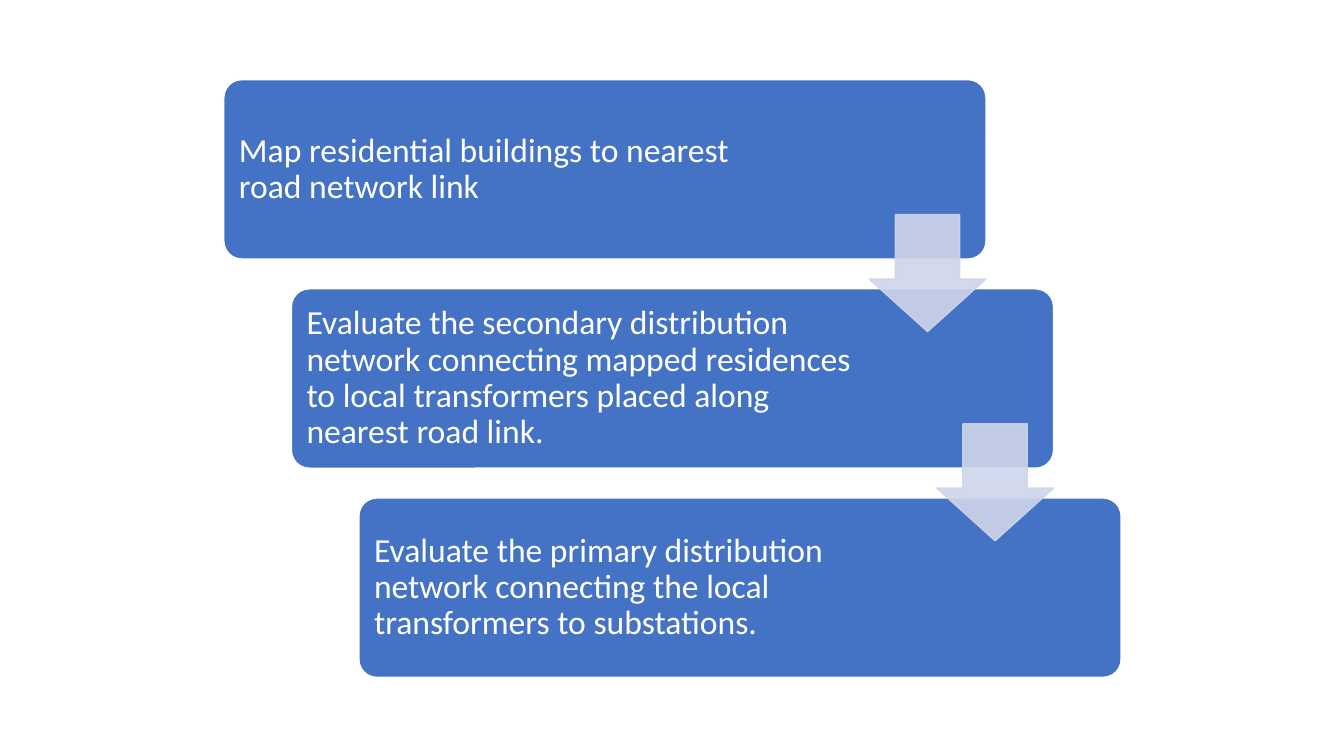
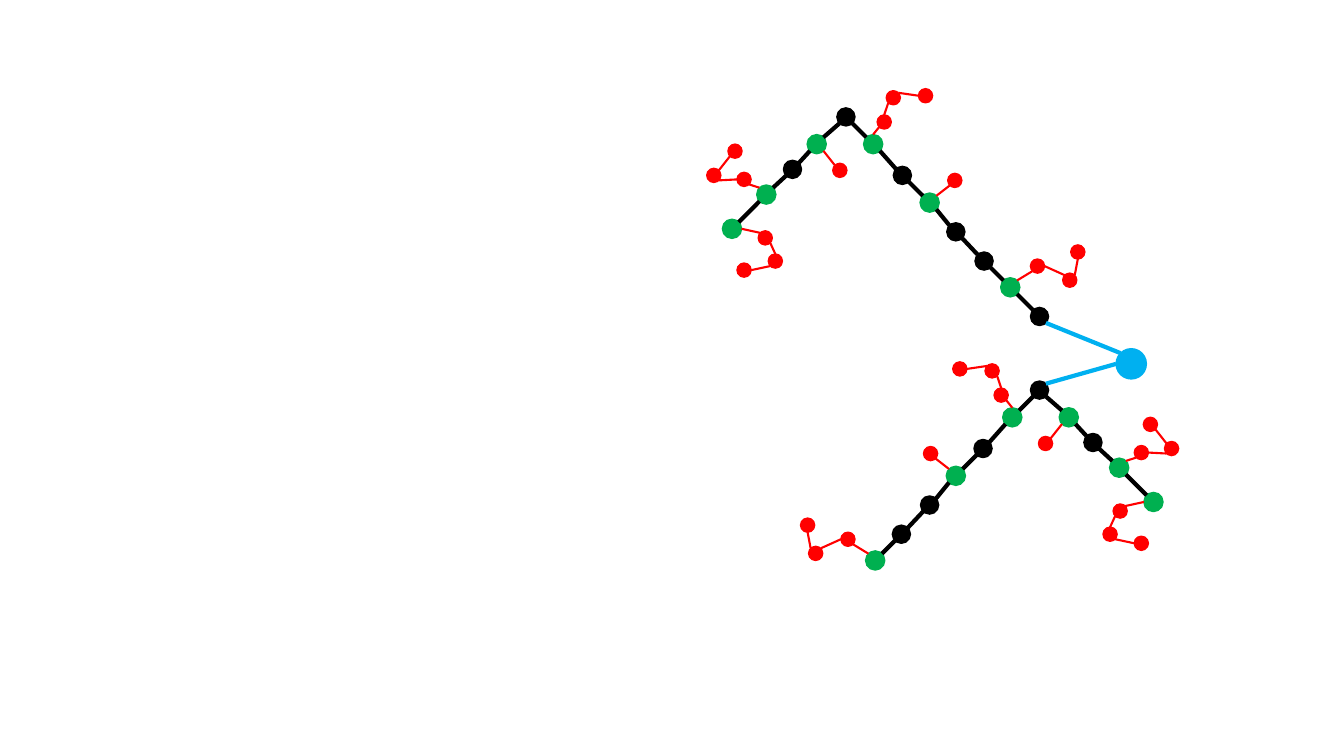
import dataclasses
import math

import lxml.etree
import pptx
import pptx.dml.color
import pptx.enum.shapes
import pptx.enum.text
import pptx.oxml.ns
import pptx.util

Inches = pptx.util.Inches
Pt = pptx.util.Pt
qn = pptx.oxml.ns.qn
Preset = pptx.enum.shapes.MSO_SHAPE


@dataclasses.dataclass(frozen=True)
class Theme:
    font: str = "Calibri"
    size: int = 24
    text: str = "FFFFFF"
    card: str = "4472C4"
    arrow: str = "CFD5EA"
    road: str = "000000"
    hub: str = "00B050"
    home: str = "FF0000"
    source: str = "00B0F0"
    edge: float = 1
    thin: float = 1.5
    thick: float = 3


THEME = Theme()

STEPS = (
    "Map residential buildings to nearest road network link",
    "Evaluate the secondary distribution network connecting mapped residences "
    "to local transformers placed along nearest road link.",
    "Evaluate the primary distribution network connecting the local "
    "transformers to substations.",
)

# Dot styles: colour, diameter
DOTS = {
    "road": (THEME.road, 0.18),
    "hub": (THEME.hub, 0.19),
    "home": (THEME.home, 0.14),
    "source": (THEME.source, 0.3),
}

# Dot centres along the road, in inches from the corner of the feeder
TRUNK = (
    ("hub", 0.26, 1.42), ("hub", 0.6, 1.08), ("road", 0.86, 0.83),
    ("hub", 1.1, 0.58), ("road", 1.39, 0.31), ("hub", 1.66, 0.58),
    ("road", 1.95, 0.89), ("hub", 2.22, 1.16), ("road", 2.48, 1.45),
    ("road", 2.76, 1.74), ("hub", 3.02, 2.0), ("road", 3.31, 2.29),
)
PEAK = 4
SPAN = 3.77

# Trunk index: homes in order, each with its centre and the sides its link joins
TWIGS = {
    0: ((0.59, 1.51, "E", "NW"), (0.69, 1.74, "SE", "N"), (0.38, 1.83, "SW", "E")),
    1: ((0.38, 0.93, "NW", "SE"), (0.08, 0.89, "W", "SE"), (0.29, 0.65, "NE", "SW")),
    3: ((1.33, 0.84, "SE", "NW"),),
    5: ((1.77, 0.36, "N", "SW"), (1.86, 0.12, "N", "SW"), (2.18, 0.1, "NE", "W")),
    7: ((2.47, 0.94, "NE", "SW"),),
    10: ((3.29, 1.79, "NE", "SW"), (3.61, 1.93, "E", "NW"), (3.69, 1.65, "NE", "S")),
}


def apply(target, style):
    for name, value in style.items():
        setattr(target, name, value)


def rgb(code):
    return pptx.dml.color.RGBColor.from_string(code)


def paint(line, color, width):
    line.color.rgb = rgb(color)
    line.width = Pt(width)


def block(slide, preset, box, fill, edge):
    shape = slide.shapes.add_shape(preset, *map(Inches, box))
    shape.shadow.inherit = False
    shape.fill.solid()
    shape.fill.fore_color.rgb = rgb(fill)
    paint(shape.line, edge, THEME.edge)
    return shape


def card(slide, box, text):
    shape = block(slide, Preset.ROUNDED_RECTANGLE, box, THEME.card, THEME.text)
    shape.adjustments[0] = 0.1
    frame = shape.text_frame
    apply(frame, {
        "word_wrap": True,
        "vertical_anchor": pptx.enum.text.MSO_ANCHOR.MIDDLE,
        "margin_left": Inches(0.1),
        "margin_right": Inches(1.92),
        "margin_top": Inches(0.1),
        "margin_bottom": Inches(0.1),
    })
    para = frame.paragraphs[0]
    apply(para, {"alignment": pptx.enum.text.PP_ALIGN.LEFT, "line_spacing": 0.9})
    run = para.add_run()
    run.text = text
    apply(run.font, {"name": THEME.font, "size": Pt(THEME.size)})
    run.font.color.rgb = rgb(THEME.text)


def arrow(slide, box):
    shape = block(slide, Preset.DOWN_ARROW, box, THEME.arrow, THEME.arrow)
    shape.adjustments[0], shape.adjustments[1] = 0.55, 0.45
    for color in shape._element.spPr.iter(qn("a:srgbClr")):
        lxml.etree.SubElement(color, qn("a:alpha")).set("val", "90000")


def cascade(slide, box, steps):
    """Cards stepping down to the right, with an arrow from each to the next."""
    left, top, width, height = box
    wide, high, side, drop = 7.56, 1.78, 1.16, 1.34
    gaps = len(steps) - 1
    spots = [(left + i * (width - wide) / gaps, top + i * (height - high) / gaps)
             for i in range(len(steps))]
    for (x, y), text in zip(spots, steps):
        card(slide, (x, y, wide, high), text)
    for x, y in spots[:-1]:
        arrow(slide, (x + wide - side, y + drop, side, side))


def dot(slide, kind, x, y):
    color, size = DOTS[kind]
    box = (x - size / 2, y - size / 2, size, size)
    return block(slide, Preset.OVAL, box, color, color)


def point(shape, side):
    """Place on the rim of a dot in a compass direction."""
    dx = ("E" in side) - ("W" in side)
    dy = ("S" in side) - ("N" in side)
    reach = shape.width / 2 / math.hypot(dx, dy)
    return (int(shape.left + shape.width / 2 + dx * reach),
            int(shape.top + shape.height / 2 + dy * reach))


def link(slide, start, out, end, into, color, width):
    line = slide.shapes.add_connector(
        pptx.enum.shapes.MSO_CONNECTOR.STRAIGHT, *point(start, out), *point(end, into))
    paint(line.line, color, width)
    lxml.etree.SubElement(line._element.spPr, qn("a:effectLst"))


def feeder(slide, left, top, trunk, flip=False):
    """Draw a road with its homes, mirrored if flip, and return the road's dots."""
    swap = str.maketrans("EW", "WE") if flip else {}

    def place(kind, x, y):
        return dot(slide, kind, left + (SPAN - x if flip else x), top + y)

    def join(start, out, end, into, *style):
        link(slide, start, out.translate(swap), end, into.translate(swap), *style)

    dots = [place(*spot) for spot in trunk]
    for i, (start, end) in enumerate(zip(dots, dots[1:])):
        sides = ("NE", "SW") if i < PEAK else ("SE", "NW")
        join(start, sides[0], end, sides[1], THEME.road, THEME.thick)
    for index, homes in TWIGS.items():
        last = dots[index]
        for x, y, out, into in homes:
            home = place("home", x, y)
            join(last, out, home, into, THEME.home, THEME.thin)
            last = home
    return dots


def network(slide, left, top):
    """Two feeders, the lower one mirrored, tied to one source."""
    source = dot(slide, "source", left + 4.22, top + 2.76)
    upper = feeder(slide, left, top, TRUNK)
    lower = feeder(slide, left + 0.93, top + 2.71, TRUNK[:-1], flip=True)
    for start, out, into in ((upper[-1], "SE", "NW"), (lower[PEAK], "NE", "W")):
        link(slide, start, out, source, into, THEME.source, THEME.thick)


def main():
    deck = pptx.Presentation()
    apply(deck, {"slide_width": Inches(13.33), "slide_height": Inches(7.5)})
    blank = deck.slide_layouts[6]
    cascade(deck.slides.add_slide(blank), (2.22, 0.79, 8.9, 5.93), STEPS)
    network(deck.slides.add_slide(blank), 7, 0.85)
    deck.save("out.pptx")


if __name__ == "__main__":
    main()
